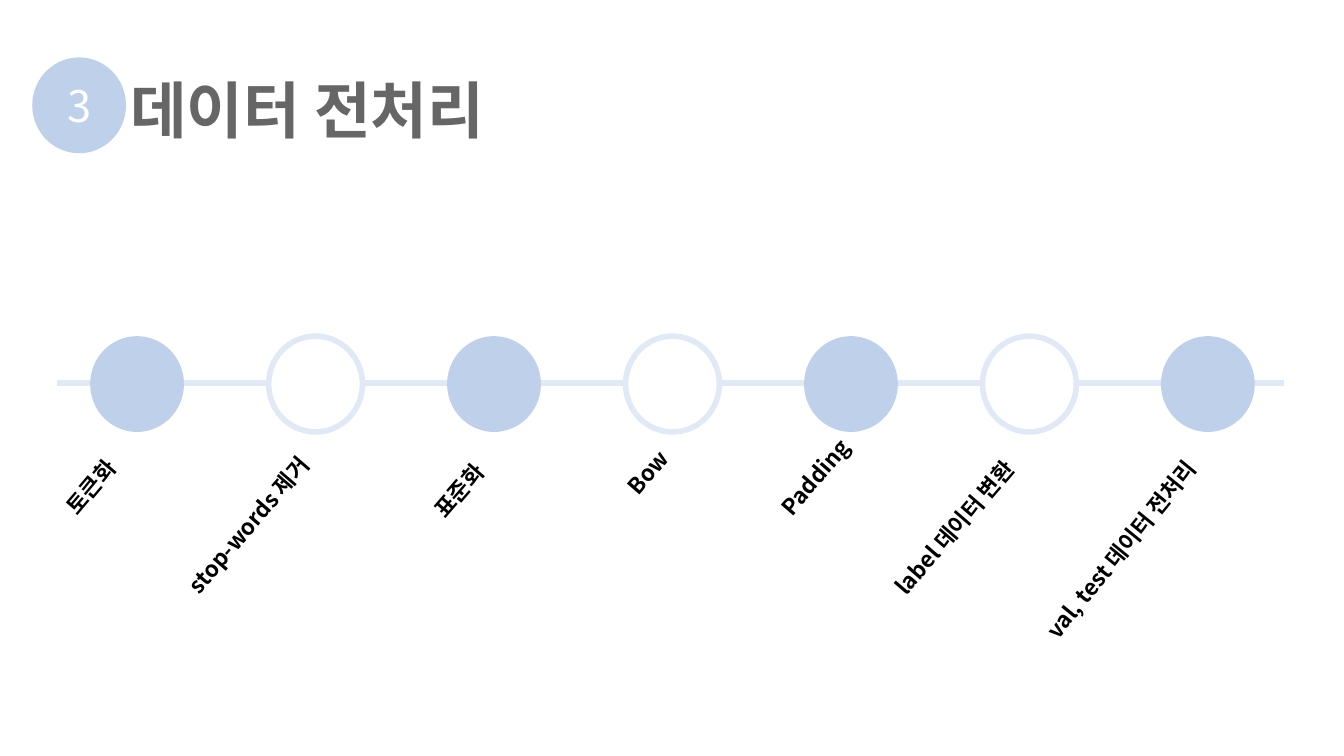
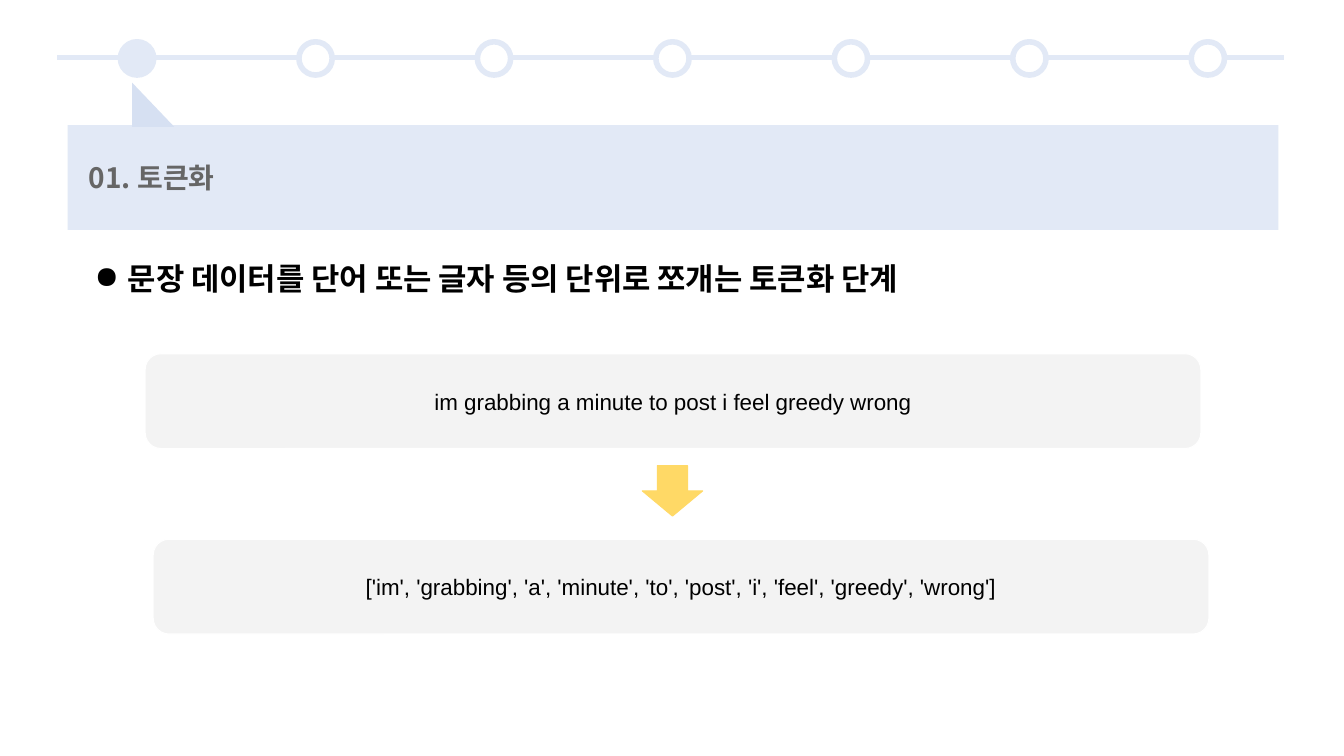
from pptx import Presentation
from pptx import util as u
from pptx.dml.color import RGBColor
from pptx.enum import shapes, text
from pptx.oxml import xmlchemy
from pptx.oxml.ns import qn
from lxml import etree

KOREAN, LATIN = "Noto Sans CJK KR", "Arial"
BLUE, PALE, POINTER = "BFD0EB", "E2E9F6", "D6E0F2"
WHITE, BLACK, HEADING = "FFFFFF", "000000", "666666"
PANEL, ARROW = "F3F3F3", "FFD966"
KIND = shapes.MSO_SHAPE
ALIGN, ANCHOR = text.PP_ALIGN, text.MSO_ANCHOR

WIDTH, HEIGHT = 13.33, 7.5
RULE_LEFT, RULE_WIDTH = 0.57, 12.17
STEP_LEFT, STEP_PITCH = 1.36, 1.77
STEP_COUNT = 7
BIG_DOT, SMALL_DOT = (0.93, 0.95), (0.33, 0.33)
LABEL_HEIGHT = 0.47

SECTION = ("3", "데이터 전처리")
STEP_LABELS = [
    ("토큰화", 0.46, 4.52, 1.01, 310.2),
    ("stop-words 제거", 1.51, 4.95, 1.95, 310.8),
    ("표준화", 4.12, 4.57, 0.97, 310.8),
    ("Bow", 6.06, 4.4, 0.81, 311.2),
    ("Padding", 7.49, 4.4, 1.36, 310.8),
    ("label 데이터 변환", 8.5, 4.92, 2.07, 310.8),
    ("val, test 데이터 전처리", 9.89, 5.14, 2.58, 309.2),
]
STEP_HEADING = "01. 토큰화"
STEP_SUMMARY = "문장 데이터를 단어 또는 글자 등의 단위로 쪼개는 토큰화 단계"
EXAMPLES = [
    ("im grabbing a minute to post i feel greedy wrong", 1.44, 3.51),
    ("['im', 'grabbing', 'a', 'minute', 'to', 'post', 'i', 'feel', 'greedy', 'wrong']",
     1.52, 5.35),
]


def color(value):
    return RGBColor.from_string(value)


def inches(*lengths):
    return [u.Inches(length) for length in lengths]


def write(shape, words, size=16, font=KOREAN, fill=BLACK, bold=False,
          align=ALIGN.LEFT, anchor=ANCHOR.MIDDLE, inset=(0.1, 0.05),
          spacing=None, bullet=None):
    frame = shape.text_frame
    frame.word_wrap = True
    frame.auto_size = text.MSO_AUTO_SIZE.NONE
    frame.vertical_anchor = anchor
    frame.margin_left, frame.margin_top = inches(*inset)
    frame.margin_right, frame.margin_bottom = inches(0.1, inset[1])
    paragraph = frame.paragraphs[0]
    paragraph.alignment = align
    paragraph.line_spacing = spacing
    if bullet:
        properties = paragraph._p.get_or_add_pPr()
        properties.set("marL", str(u.Inches(0.5)))
        properties.set("indent", str(u.Inches(-0.33)))
        etree.SubElement(properties, qn("a:buChar")).set("char", bullet)
    run = paragraph.add_run()
    run.text = words
    run.font.size = u.Pt(size)
    run.font.bold = bold
    run.font.color.rgb = color(fill)
    run.font.name = font
    etree.SubElement(run._r.get_or_add_rPr(), qn("a:ea")).set("typeface", font)


def add_shape(slide, kind, left, top, width, height, fill, line=None, weight=4):
    shape = slide.shapes.add_shape(kind, *inches(left, top, width, height))
    shape.shadow.inherit = False
    shape.fill.solid()
    shape.fill.fore_color.rgb = color(fill)
    if line:
        shape.line.color.rgb = color(line)
        shape.line.width = u.Pt(weight)
    else:
        shape.line.fill.background()
    return shape


def add_text(slide, words, left, top, width, height, **style):
    box = slide.shapes.add_textbox(*inches(left, top, width, height))
    write(box, words, **style)
    return box


def set_title(slide, words, left, top, width, height, **style):
    title = slide.shapes.title
    title.left, title.top, title.width, title.height = inches(left, top, width, height)
    write(title, words, fill=HEADING, bold=True, **style)
    return title


def add_timeline(slide, rule_y, dot_y, dot_size, dot_styles):
    rule = slide.shapes.add_connector(
        shapes.MSO_CONNECTOR.STRAIGHT,
        *inches(RULE_LEFT, rule_y, RULE_LEFT + RULE_WIDTH, rule_y))
    rule.line.color.rgb = color(PALE)
    rule.line.width = u.Pt(4)
    etree.SubElement(rule._element.spPr, qn("a:effectLst"))
    width, height = dot_size
    for step, (fill, line) in enumerate(dot_styles):
        center = STEP_LEFT + step * STEP_PITCH
        add_shape(slide, KIND.FLOWCHART_CONNECTOR, center - width / 2,
                  dot_y - height / 2, width, height, fill, line)


def build_overview(slide):
    number, name = SECTION
    set_title(slide, name, 1.19, 0.4, 11.23, 1.45, size=44, spacing=0.9)
    badge = add_shape(slide, KIND.FLOWCHART_CONNECTOR, 0.32, 0.57, *BIG_DOT, BLUE)
    write(badge, number, size=31, fill=WHITE, align=ALIGN.CENTER)
    alternating = [(WHITE, PALE) if step % 2 else (BLUE, None)
                   for step in range(STEP_COUNT)]
    add_timeline(slide, 3.8, 3.81, BIG_DOT, alternating)
    for name, left, top, width, tilt in STEP_LABELS:
        label = add_text(slide, name, left, top, width, LABEL_HEIGHT, bold=True,
                         anchor=ANCHOR.TOP, inset=(0.1, 0.1))
        label.rotation = tilt


def build_tokenizing(slide):
    band = set_title(slide, STEP_HEADING, 0.67, 1.24, 12.01, 1.04, size=20,
                     inset=(0.21, 0.05))
    band.fill.solid()
    band.fill.fore_color.rgb = color(PALE)
    progress = [(WHITE if step else PALE, PALE) for step in range(STEP_COUNT)]
    add_timeline(slide, 0.57, 0.58, SMALL_DOT, progress)
    add_shape(slide, KIND.RIGHT_TRIANGLE, 1.31, 0.82, 0.42, 0.44, POINTER)
    add_text(slide, STEP_SUMMARY, 0.67, 2.57, 11.5, 0.5, size=22, bold=True,
             anchor=ANCHOR.TOP, spacing=0.9, bullet="●")
    for sample, left, top in EXAMPLES:
        panel = add_shape(slide, KIND.ROUNDED_RECTANGLE, left, top, 10.47, 0.94,
                          PANEL, WHITE, 0.75)
        write(panel, sample, font=LATIN, align=ALIGN.CENTER, inset=(0.1, 0.1))
    add_shape(slide, KIND.DOWN_ARROW, 6.37, 4.62, 0.6, 0.5, ARROW, ARROW, 0.75)


def main():
    deck = Presentation()
    deck.slide_width, deck.slide_height = inches(WIDTH, HEIGHT)
    for build in (build_overview, build_tokenizing):
        build(deck.slides.add_slide(deck.slide_layouts[5]))
    deck.save("out.pptx")


if __name__ == "__main__":
    main()
